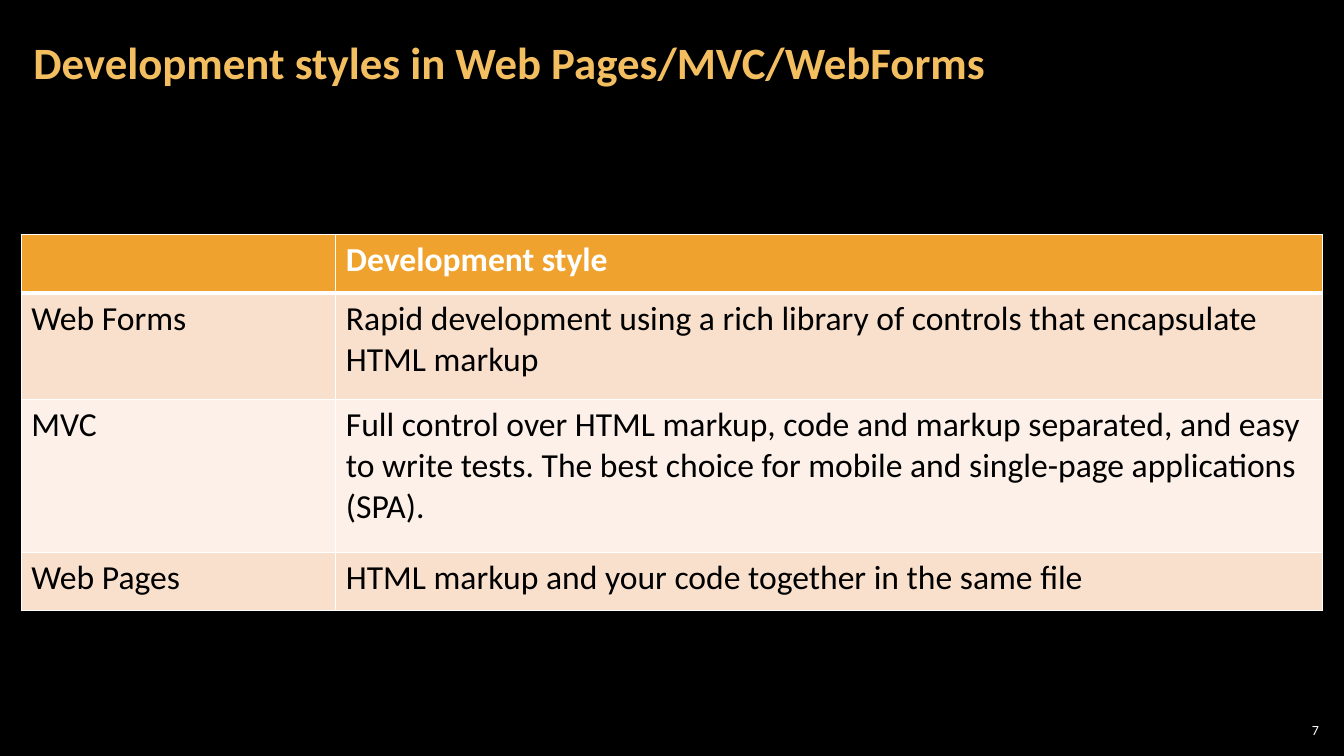
from dataclasses import dataclass

from lxml import etree
from pptx import Presentation
from pptx.dml.color import RGBColor
from pptx.enum.text import MSO_ANCHOR, PP_ALIGN
from pptx.oxml.ns import qn
from pptx.table import _Cell
from pptx.text.text import TextFrame
from pptx.util import Inches, Pt

LEFT, RIGHT = PP_ALIGN.LEFT, PP_ALIGN.RIGHT
MIDDLE = MSO_ANCHOR.MIDDLE
WIDE, HIGH = Inches(13.33), Inches(7.5)


@dataclass(frozen=True)
class Theme:
    font: str = "Calibri"
    back: str = "000000"
    ink: str = "000000"
    white: str = "FFFFFF"
    gold: str = "F3BE60"
    head: str = "F0A22E"
    bands: tuple[str, str] = ("F9E0CD", "FCF0E8")
    title: int = 32
    body: int = 24
    small: int = 10
    thin: int = 1
    thick: int = 3


@dataclass(frozen=True)
class Row:
    name: str
    style: str
    height: float


@dataclass(frozen=True)
class Box:
    """Place and size as percentages of the slide."""
    left: float
    top: float
    width: float
    height: float

    def emu(self) -> tuple[int, int, int, int]:
        return (int(WIDE * self.left / 100), int(HIGH * self.top / 100),
                int(WIDE * self.width / 100), int(HIGH * self.height / 100))


THEME = Theme()
TITLE = Box(1.58, 0.53, 78.54, 16.13)
GRID = Box(1.58, 31.07, 96.85, 49.73)
PAGE = Box(94.9, 95.2, 3.53, 2.8)
COLS = (23.41, 73.44)  # shares of the slide width
ROWS = (
    Row("", "Development style", 7.73),
    Row("Web Forms", "Rapid development using a rich library of controls "
        "that encapsulate HTML markup", 14),
    Row("MVC", "Full control over HTML markup, code and markup separated, "
        "and easy to write tests. The best choice for mobile and "
        "single-page applications (SPA).", 20.27),
    Row("Web Pages", "HTML markup and your code together in the same file",
        7.73),
)


def rgb(code: str) -> RGBColor:
    return RGBColor.from_string(code)


def write(frame: TextFrame, text: str, *, size: int, color: str,
          bold: bool = False, align: PP_ALIGN = LEFT,
          space: float = 1.0) -> None:
    frame.word_wrap = True
    para = frame.paragraphs[0]
    para.alignment, para.line_spacing = align, space
    run = para.add_run()
    run.text = text
    font = run.font
    font.name, font.size, font.bold = THEME.font, Pt(size), bold
    font.color.rgb = rgb(color)


def inset(frame: TextFrame, side: float, edge: float) -> None:
    frame.margin_left = frame.margin_right = Inches(side)
    frame.margin_top = frame.margin_bottom = Inches(edge)
    frame.vertical_anchor = MIDDLE


def edge(cell: _Cell, top: int, bottom: int) -> None:
    props = cell._tc.get_or_add_tcPr()
    widths = {"lnL": THEME.thin, "lnR": THEME.thin,
              "lnT": top, "lnB": bottom}
    for tag, width in widths.items():
        line = etree.SubElement(props, qn(f"a:{tag}"), w=str(Pt(width)))
        fill = etree.SubElement(line, qn("a:solidFill"))
        etree.SubElement(fill, qn("a:srgbClr"), val=THEME.white)


def grid(slide) -> None:
    table = slide.shapes.add_table(len(ROWS), len(COLS), *GRID.emu()).table
    for col, share in zip(table.columns, COLS):
        col.width = int(WIDE * share / 100)
    for i, row in enumerate(ROWS):
        table.rows[i].height = int(HIGH * row.height / 100)
        head = i == 0
        shade = THEME.head if head else THEME.bands[(i - 1) % 2]
        for j, text in enumerate((row.name, row.style)):
            cell = table.cell(i, j)
            edge(cell, THEME.thick if i == 1 else THEME.thin,
                 THEME.thick if head else THEME.thin)
            cell.fill.solid()
            cell.fill.fore_color.rgb = rgb(shade)
            if text:
                write(cell.text_frame, text, size=THEME.body, bold=head,
                      color=THEME.white if head else THEME.ink)


def main() -> None:
    deck = Presentation()
    deck.slide_width, deck.slide_height = WIDE, HIGH
    slide = deck.slides.add_slide(deck.slide_layouts[5])
    back = slide.background.fill
    back.solid()
    back.fore_color.rgb = rgb(THEME.back)

    # Title
    title = slide.shapes.title
    title.left, title.top, title.width, title.height = TITLE.emu()
    inset(title.text_frame, 0.12, 0.04)
    write(title.text_frame, "Development styles in Web Pages/MVC/WebForms",
          size=THEME.title, color=THEME.gold, bold=True, space=0.9)

    # Comparison table
    grid(slide)

    # Page number
    page = slide.shapes.add_textbox(*PAGE.emu()).text_frame
    inset(page, 0.04, 0.04)
    write(page, "7", size=THEME.small, color=THEME.white, align=RIGHT)

    deck.save("out.pptx")


if __name__ == "__main__":
    main()
